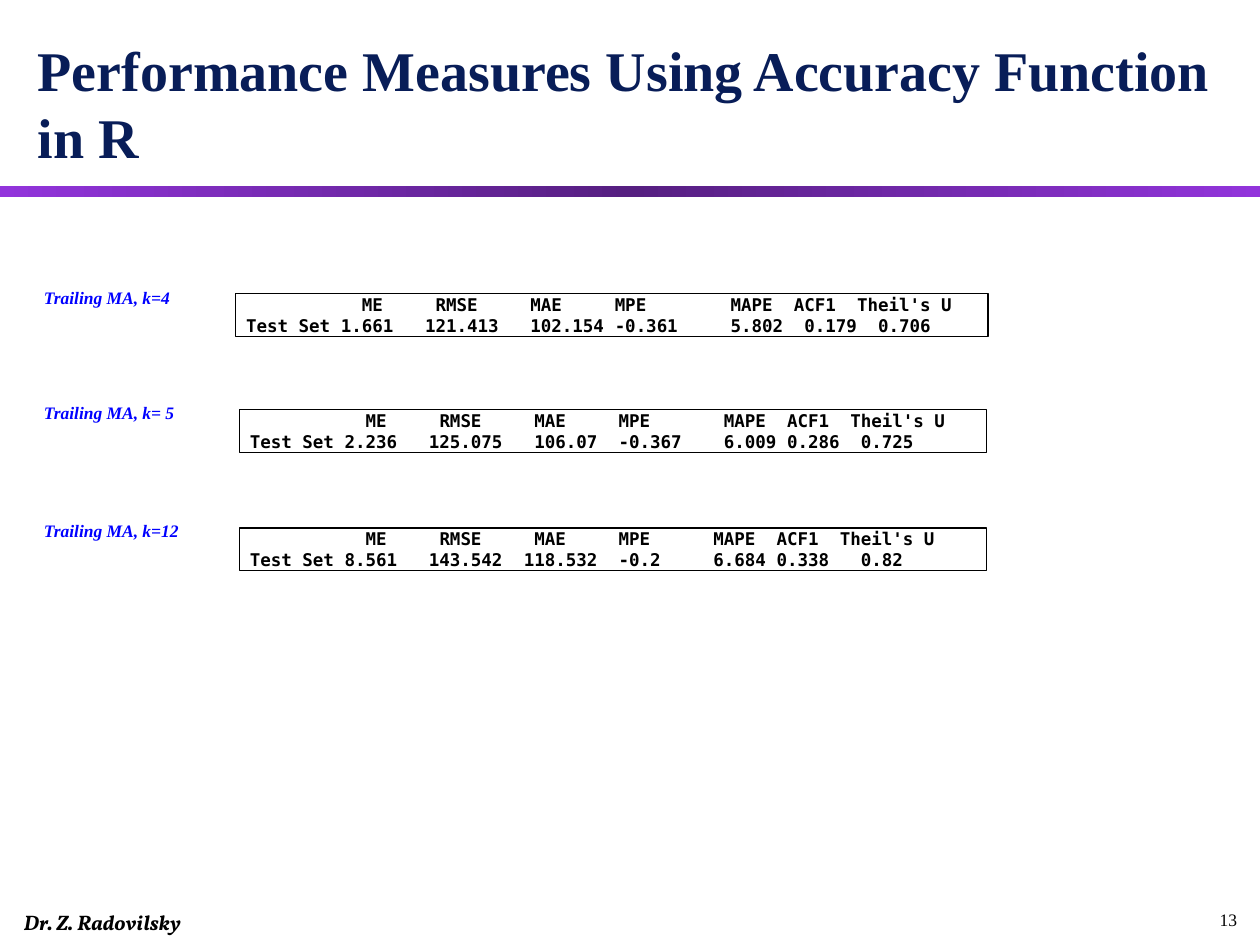
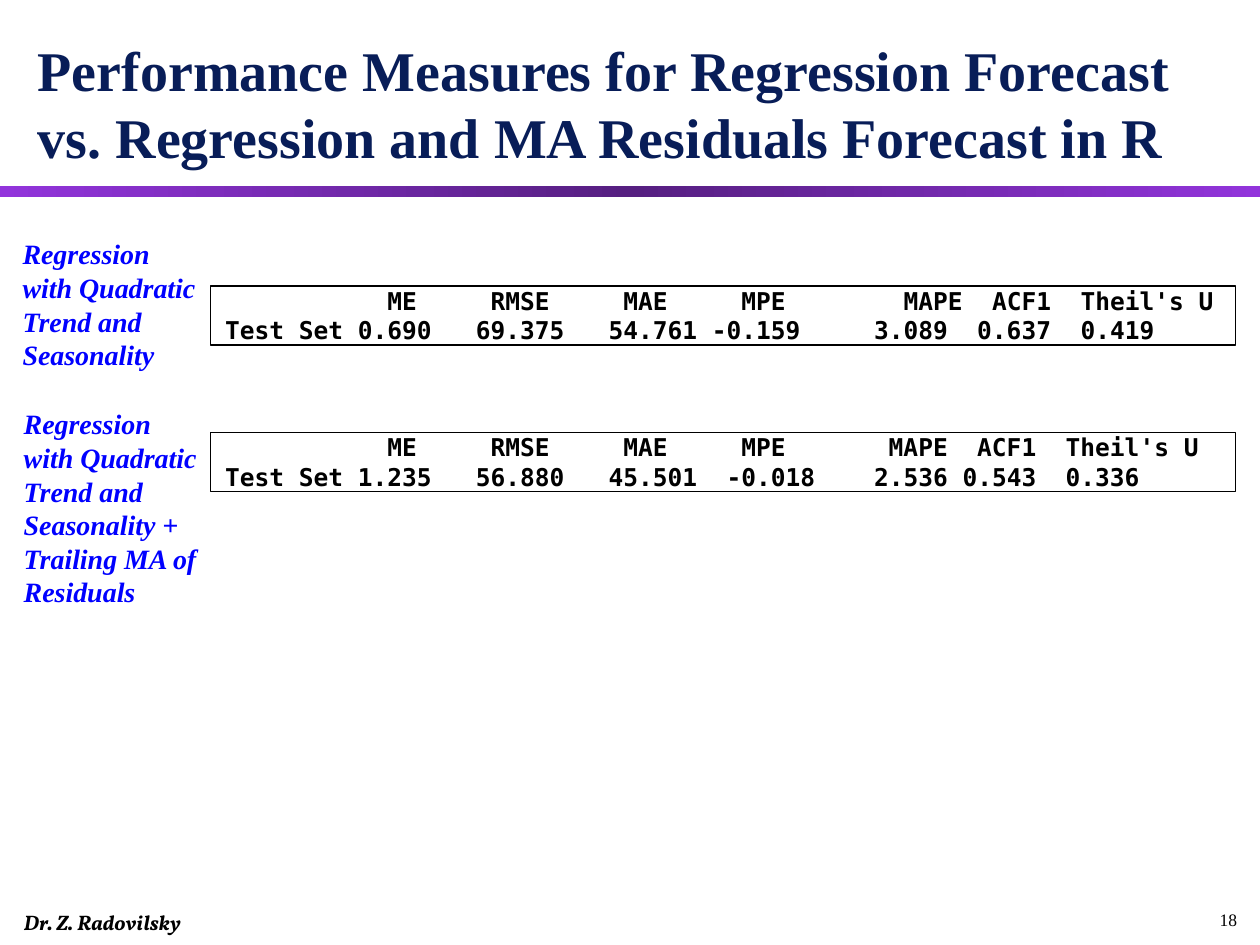
from lxml import etree
from pptx import Presentation
from pptx.dml.color import RGBColor
from pptx.enum.shapes import MSO_SHAPE
from pptx.enum.text import MSO_ANCHOR, MSO_AUTO_SIZE, PP_ALIGN
from pptx.oxml.ns import qn
from pptx.util import Pt

RECTANGLE = MSO_SHAPE.RECTANGLE
MIDDLE, BOTTOM = MSO_ANCHOR.MIDDLE, MSO_ANCHOR.BOTTOM
LEFT = PP_ALIGN.LEFT
GROW, FIXED = MSO_AUTO_SIZE.SHAPE_TO_FIT_TEXT, MSO_AUTO_SIZE.NONE

SERIF, MONO, SIGNATURE = "Times New Roman", "DejaVu Sans Mono", "Vollkorn"
BLACK, WHITE, NAVY, BLUE = "000000", "FFFFFF", "081D58", "0000FF"
BAND_STOPS = ((0, "9234DB"), (50, "561F81"), (100, "9234DB"))

PAGE_WIDTH, PAGE_HEIGHT = 720, 540
TITLE_BOX = (14.4, 11.5, 692, 89.3)
BAND_BOX = (0, 106.5, PAGE_WIDTH, 6)
AUTHOR_BOX = (6.5, 516.2, 150, 21.6)
NUMBER_BOX = (689.8, 516.2, 30.2, 19.4)
MONO_ADVANCE = 0.602

MEASURES = ("ME", "RMSE", "MAE", "MPE", "MAPE", "ACF1", "Theil's U")

MOVING_AVERAGES = (
    ("Trailing MA, k=4", (18, 160.6, 114, 19.4), (134.6, 167.8, 430, 24.5), 47,
     ("1.661", "121.413", "102.154", "-0.361", "5.802", "0.179", "0.706"),
     (10, 18, 28, 36, 47, 54, 61)),
    ("Trailing MA, k= 5", (18, 226.1, 114, 19.4), (136.8, 234, 427, 24.5), 46,
     ("2.236", "125.075", "106.07", "-0.367", "6.009", "0.286", "0.725"),
     (10, 18, 28, 36, 46, 52, 59)),
    ("Trailing MA, k=12", (18, 293.8, 114, 19.4), (136.8, 301.7, 427, 24.5), 45,
     ("8.561", "143.542", "118.532", "-0.2", "6.684", "0.338", "0.82"),
     (10, 18, 27, 36, 45, 51, 59)),
)

REGRESSIONS = (
    ("Regression with Quadratic Trend and Seasonality",
     (5.8, 131.8, 114, 85), (120.2, 163.4, 586, 33.8), 47,
     ("0.690", "69.375", "54.761", "-0.159", "3.089", "0.637", "0.419"),
     (10, 18, 27, 34, 45, 52, 59)),
    ("Regression with Quadratic Trend and Seasonality + Trailing MA of Residuals",
     (6.5, 229, 114, 123.8), (120.2, 247, 586, 33.8), 46,
     ("1.235", "56.880", "45.501", "-0.018", "2.536", "0.543", "0.336"),
     (10, 18, 27, 35, 45, 51, 58)),
)


def color(hex_string):
    return RGBColor.from_string(hex_string)


def points(box):
    return [Pt(length) for length in box]


def add_span(para, text, font, size, ink, bold=False, italic=False):
    span = para.add_run()
    span.text = text
    span.font.name = font
    span.font.size = Pt(size)
    span.font.bold = bold
    span.font.italic = italic
    span.font.color.rgb = color(ink)


def add_text(page, box, text, font, size, ink, bold=False, italic=False):
    frame = page.shapes.add_textbox(*points(box)).text_frame
    frame.word_wrap = True
    frame.auto_size = GROW
    add_span(frame.paragraphs[0], text, font, size, ink, bold, italic)


def add_title(page, box, text):
    title = page.shapes.title
    title.left, title.top, title.width, title.height = points(box)
    frame = title.text_frame
    frame.auto_size = FIXED
    frame.vertical_anchor = BOTTOM
    para = frame.paragraphs[0]
    para.alignment = LEFT
    add_span(para, text, SERIF, 32, NAVY, bold=True)


def add_band(page, box):
    band = page.shapes.add_shape(RECTANGLE, *points(box))
    band.shadow.inherit = False
    band.line.fill.background()
    band.fill.gradient()
    band.fill.gradient_angle = 0
    stops = band.fill._fill._gradFill.find(qn("a:gsLst"))
    for stop in list(stops):
        stops.remove(stop)
    for percent, shade in BAND_STOPS:
        stop = etree.SubElement(stops, qn("a:gs"), pos=str(percent * 1000))
        etree.SubElement(stop, qn("a:srgbClr"), val=shade)


def add_page(deck, title, number):
    page = deck.slides.add_slide(deck.slide_layouts[5])
    add_band(page, BAND_BOX)
    add_text(page, AUTHOR_BOX, "Dr. Z. Radovilsky", SIGNATURE, 12, BLACK, True, True)
    add_text(page, NUMBER_BOX, str(number), SERIF, 10, BLACK)
    add_title(page, TITLE_BOX, title)
    return page


def add_report_row(para, name, cells, columns, size):
    para.alignment = LEFT
    stops = etree.SubElement(para._p.get_or_add_pPr(), qn("a:tabLst"))
    for column in columns:
        position = Pt((column - 1) * size * MONO_ADVANCE)
        etree.SubElement(stops, qn("a:tab"), pos=str(int(position)), algn="l")
    add_span(para, "\t".join((name, *cells)), MONO, size, BLACK, bold=True)


def add_report(page, box, size, mape_column, values, value_columns):
    report = page.shapes.add_shape(RECTANGLE, *points(box))
    report.shadow.inherit = False
    report.fill.solid()
    report.fill.fore_color.rgb = color(WHITE)
    report.line.color.rgb = color(BLACK)
    report.line.width = Pt(0.75)
    frame = report.text_frame
    frame.word_wrap = True
    frame.auto_size = GROW
    frame.vertical_anchor = MIDDLE
    frame.margin_left = Pt(size * MONO_ADVANCE)
    frame.margin_top = frame.margin_right = frame.margin_bottom = 0
    header_columns = (12, 19, 28, 36, mape_column, mape_column + 6, mape_column + 12)
    add_report_row(frame.paragraphs[0], "", MEASURES, header_columns, size)
    add_report_row(frame.add_paragraph(), "Test Set", values, value_columns, size)


def add_measures_page(deck, title, number, models, label_size, report_size):
    page = add_page(deck, title, number)
    for label, label_box, report_box, mape_column, values, columns in models:
        add_report(page, report_box, report_size, mape_column, values, columns)
        add_text(page, label_box, label, SERIF, label_size, BLUE, True, True)


def main():
    deck = Presentation()
    deck.slide_width, deck.slide_height = Pt(PAGE_WIDTH), Pt(PAGE_HEIGHT)
    add_measures_page(deck, "Performance Measures Using Accuracy Function in R",
                      13, MOVING_AVERAGES, 10, 10)
    add_measures_page(deck, "Performance Measures for Regression Forecast "
                      "vs. Regression and MA Residuals Forecast in R",
                      18, REGRESSIONS, 16, 14)
    deck.save("out.pptx")


if __name__ == "__main__":
    main()
